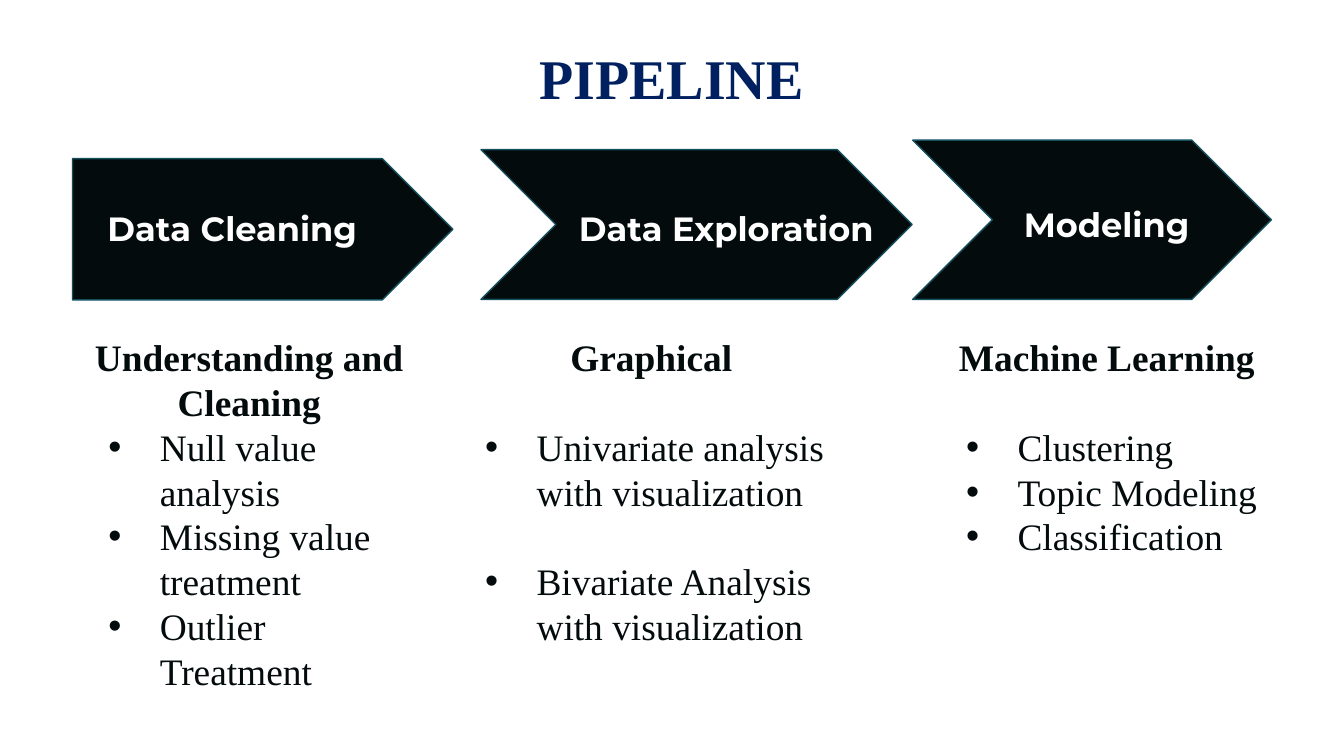
import pptx
import pptx.util
import pptx.dml.color
import pptx.enum.shapes
import pptx.enum.text
import pptx.oxml.ns
import lxml.etree

Cm = pptx.util.Cm
Pt = pptx.util.Pt
ALIGN = pptx.enum.text.PP_ALIGN
SHAPE = pptx.enum.shapes.MSO_SHAPE

TITLE = "PIPELINE"
TITLE_BOX = (0.86, 0.58, 23.67, 1.6)
STAGES = [
    {
        "label": "Data Cleaning", "label_box": (1.78, 3.68, 5.44, 1.27),
        "arrow": SHAPE.PENTAGON, "arrow_box": (1.37, 3, 7.19, 2.67),
        "heading": "Understanding and Cleaning", "list_box": (1.47, 6.07, 6.48, 7.34),
        "items": ["Null value analysis", "Missing value treatment", "Outlier Treatment"],
        "gaps": [0, 0, 0],
    },
    {
        "label": "Data Exploration", "label_box": (10.69, 3.68, 6.2, 1.27),
        "arrow": SHAPE.CHEVRON, "arrow_box": (9.09, 2.83, 8.15, 2.83),
        "heading": "Graphical", "list_box": (8.59, 6.07, 7.44, 6.5),
        "items": ["Univariate analysis with visualization", "Bivariate Analysis with visualization"],
        "gaps": [1, 1],
    },
    {
        "label": "Modeling", "label_box": (19.1, 3.6, 5.44, 1.27),
        "arrow": SHAPE.CHEVRON, "arrow_box": (17.25, 2.65, 6.78, 3.01),
        "heading": "Machine Learning", "list_box": (17.68, 6.07, 6.48, 4.78),
        "items": ["Clustering", "Topic Modeling", "Classification"],
        "gaps": [1, 0, 0],
    },
]
THEME = {
    "serif": "Times New Roman", "sans": "Montserrat",
    "navy": "002060", "ink": "030B0D", "edge": "134F5C", "white": "FFFFFF",
    "title": 30, "label": 18, "body": 20, "leading": 1.2,
}


def color(name):
    return pptx.dml.color.RGBColor.from_string(THEME[name])


def place(shape, box):
    shape.left, shape.top, shape.width, shape.height = map(Cm, box)


def prepare(frame):
    frame.word_wrap = True
    frame.auto_size = pptx.enum.text.MSO_AUTO_SIZE.NONE
    frame.vertical_anchor = pptx.enum.text.MSO_ANCHOR.TOP
    frame.margin_left = frame.margin_right = Cm(0.25)
    frame.margin_top = frame.margin_bottom = Cm(0.25)


def style(para, size, font, ink, bold, align=ALIGN.LEFT):
    para.alignment = align
    para.space_before = para.space_after = Pt(0)
    for span in para.runs:
        span.font.size = Pt(THEME[size])
        span.font.name = THEME[font]
        span.font.bold = bold
        span.font.color.rgb = color(ink)


def set_leading(para, size):
    para.line_spacing = Pt(THEME[size] * THEME["leading"])


def set_bullet(para, shown):
    properties = para._p.get_or_add_pPr()
    properties.set("marL", str(Cm(1.3) if shown else 0))
    properties.set("indent", str(Cm(-0.97) if shown else 0))

    def add(parent, tag, **attributes):
        return lxml.etree.SubElement(parent, pptx.oxml.ns.qn(tag), **attributes)

    if shown:
        add(add(properties, "a:buClr"), "a:srgbClr", val=THEME["ink"])
        add(properties, "a:buFont", typeface="Arial")
        add(properties, "a:buChar", char="•")
    else:
        add(properties, "a:buNone")


def add_arrow(page, stage):
    arrow = page.shapes.add_shape(stage["arrow"], *map(Cm, stage["arrow_box"]))
    arrow.shadow.inherit = False
    arrow.fill.solid()
    arrow.fill.fore_color.rgb = color("ink")
    arrow.line.color.rgb = color("edge")
    arrow.line.width = Pt(0.75)


def add_label(page, stage):
    box = page.shapes.add_textbox(*map(Cm, stage["label_box"]))
    prepare(box.text_frame)
    box.text_frame.text = stage["label"]
    style(box.text_frame.paragraphs[0], "label", "sans", "white", True)


def fill_list(holder, stage):
    place(holder, stage["list_box"])
    frame = holder.text_frame
    prepare(frame)
    frame.text = "\n".join([stage["heading"], *stage["items"]])
    for index, para in enumerate(frame.paragraphs):
        is_heading = index == 0
        style(para, "body", "serif", "ink", is_heading, ALIGN.CENTER if is_heading else ALIGN.LEFT)
        set_leading(para, "body")
        set_bullet(para, not is_heading)
        if not is_heading:
            para.space_before = Pt(stage["gaps"][index - 1] * THEME["body"] * THEME["leading"])


def main():
    deck = pptx.Presentation()
    deck.slide_width, deck.slide_height = Cm(25.4), Cm(14.29)
    page = deck.slides.add_slide(deck.slide_layouts.get_by_name("Comparison"))

    title = page.shapes.title
    place(title, TITLE_BOX)
    prepare(title.text_frame)
    title.text_frame.text = TITLE
    heading = title.text_frame.paragraphs[0]
    style(heading, "title", "serif", "navy", True, ALIGN.CENTER)
    set_leading(heading, "title")

    holders = list(page.placeholders)[1:]
    for stage, holder in zip(STAGES, holders):
        add_arrow(page, stage)
        add_label(page, stage)
        fill_list(holder, stage)
    for spare in holders[len(STAGES):]:
        spare.element.getparent().remove(spare.element)

    deck.save("out.pptx")


if __name__ == "__main__":
    main()
